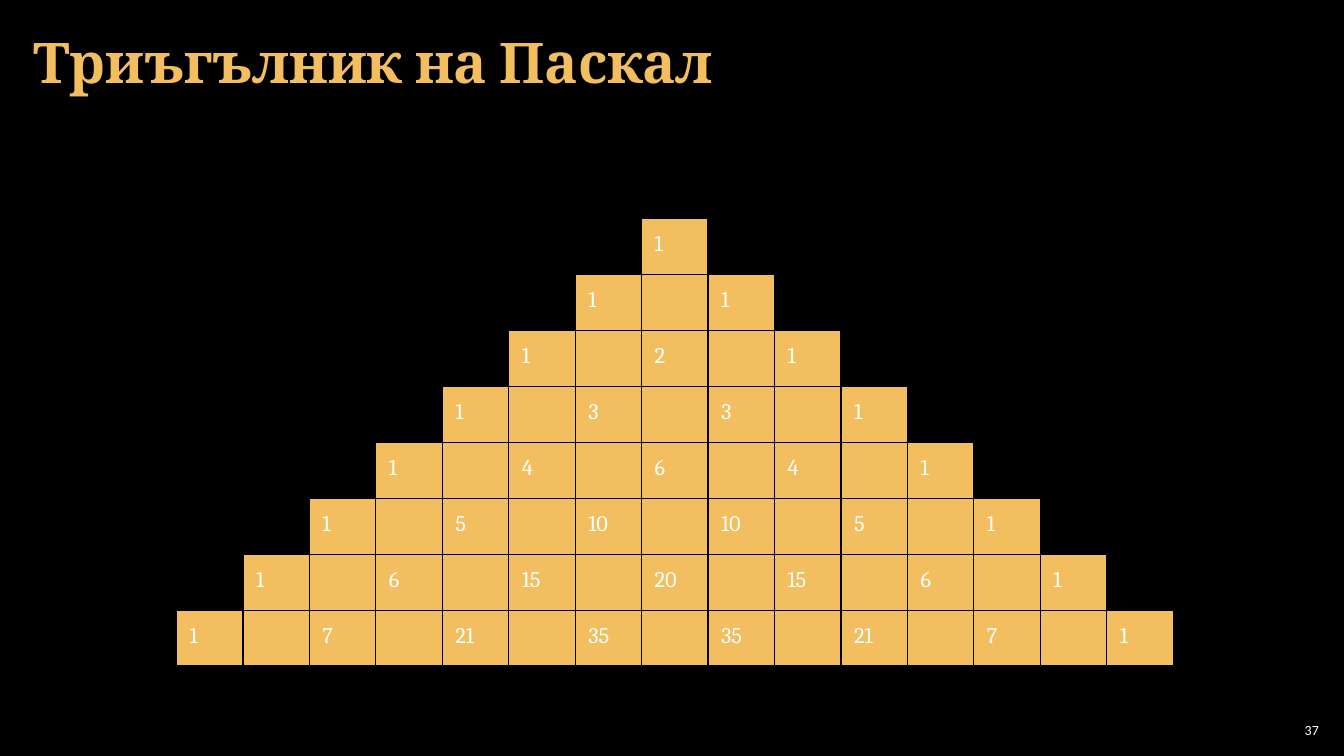
from math import comb

from lxml import etree
from pptx import Presentation, util as u
from pptx.dml.color import RGBColor
from pptx.enum import text
from pptx.oxml.ns import qn

GOLD, WHITE, BLACK = "F3BE60", "FFFFFF", "000000"
LEVELS = 8


def color(hex_code):
    return RGBColor.from_string(hex_code)


class Deck:
    """Holds the style and the current slide; places are percentages of the slide size."""

    serif, sans = "Cambria", "Calibri"

    def __init__(self):
        self.prs = Presentation()
        self.prs.slide_width, self.prs.slide_height = u.Inches(13.33), u.Inches(7.5)
        self.slide = self.prs.slides.add_slide(self.prs.slide_layouts[5])
        background = self.slide.background.fill
        background.solid()
        background.fore_color.rgb = color(BLACK)

    def box(self, left, top, width, height):
        across, down = self.prs.slide_width / 100, self.prs.slide_height / 100
        return [int(n) for n in (left * across, top * down, width * across, height * down)]

    def set_words(self, frame, words, size, font, ink, align=None, bold=False):
        frame.text = words
        line = frame.paragraphs[0]
        line.alignment = align
        style = line.runs[0].font
        style.size, style.name, style.bold = u.Pt(size), font, bold
        style.color.rgb = color(ink)
        return line

    def inset(self, frame, side, end):
        frame.margin_left = frame.margin_right = u.Inches(side)
        frame.margin_top = frame.margin_bottom = u.Inches(end)
        frame.vertical_anchor = text.MSO_ANCHOR.MIDDLE
        frame.word_wrap = True
        frame.auto_size = text.MSO_AUTO_SIZE.NONE

    def title(self, words, *place):
        heading = self.slide.shapes.title
        heading.left, heading.top, heading.width, heading.height = self.box(*place)
        self.inset(heading.text_frame, 0.12, 0.04)
        line = self.set_words(heading.text_frame, words, 40, self.serif, GOLD,
                              text.PP_ALIGN.JUSTIFY, True)
        line.line_spacing = 0.9

    def page_number(self, number, *place):
        frame = self.slide.shapes.add_textbox(*self.box(*place)).text_frame
        self.inset(frame, 0.04, 0.04)
        self.set_words(frame, number, 10, self.sans, WHITE, text.PP_ALIGN.RIGHT)

    def border(self, cell):
        props = cell._tc.get_or_add_tcPr()
        for position, side in enumerate(("a:lnL", "a:lnR", "a:lnT", "a:lnB")):
            edge = etree.Element(qn(side), w=str(u.Pt(1)))
            paint = etree.SubElement(edge, qn("a:solidFill"))
            etree.SubElement(paint, qn("a:srgbClr"), val=BLACK)
            props.insert(position, edge)

    def triangle(self, levels, *place):
        columns = 2 * levels - 1
        left, top, width, height = self.box(*place)
        grid = self.slide.shapes.add_table(levels, columns, left, top, width, height).table
        grid.first_row = grid.horz_banding = False
        for column in grid.columns:
            column.width = width // columns
        for level in range(levels):
            grid.rows[level].height = height // levels
            for column in range(columns):
                self.number(grid.cell(level, column), level, column - (levels - 1 - level))

    def number(self, cell, level, step):
        if 0 <= step <= 2 * level:
            cell.fill.solid()
            cell.fill.fore_color.rgb = color(GOLD)
            if step % 2 == 0:
                cell.margin_left = cell.margin_right = u.Inches(0.13)
                cell.margin_top = cell.margin_bottom = u.Inches(0.13)
                self.set_words(cell.text_frame, str(comb(level, step // 2)), 16,
                               self.serif, WHITE)
        else:
            cell.fill.background()
        self.border(cell)


def main():
    deck = Deck()
    deck.title("Триъгълник на Паскал", 1.58, 0.53, 96.85, 16.13)
    deck.triangle(LEVELS, 13.13, 28.93, 74.19, 59.2)
    deck.page_number("37", 94.9, 95.2, 3.53, 2.8)
    deck.prs.save("out.pptx")


if __name__ == "__main__":
    main()
